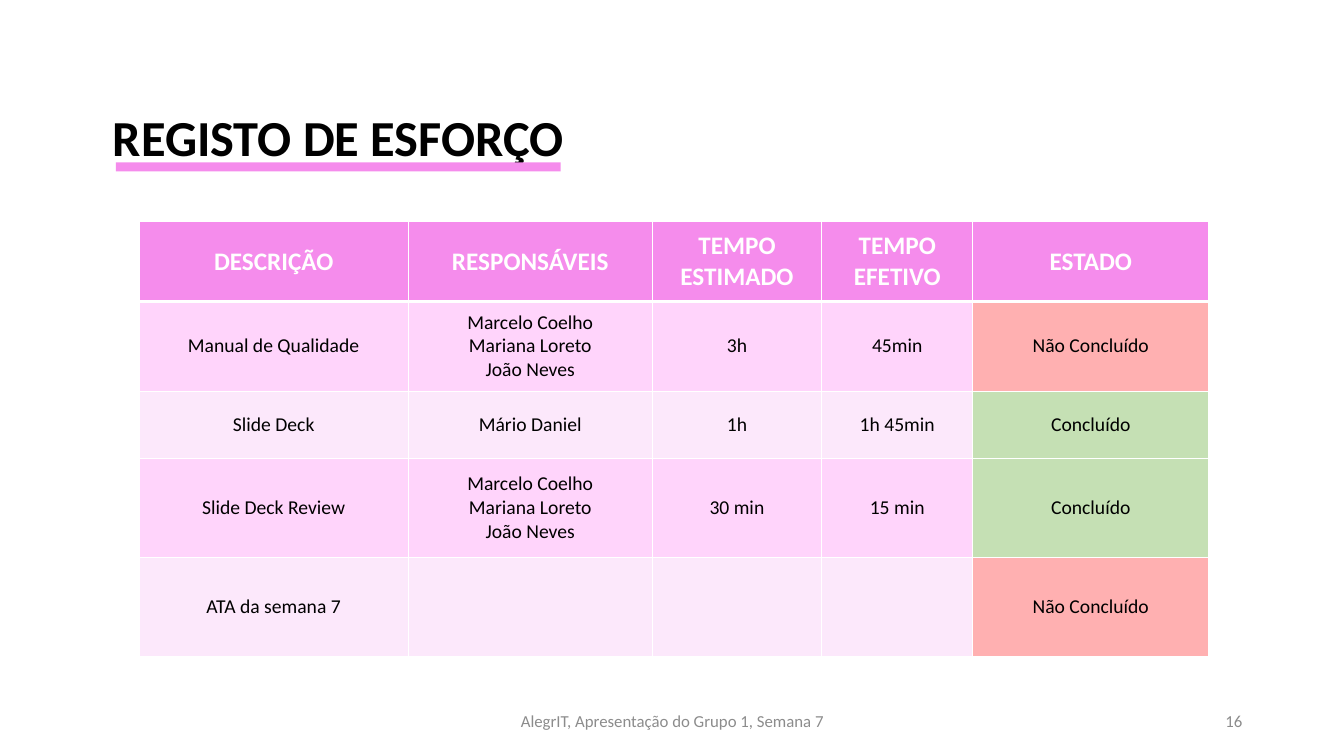
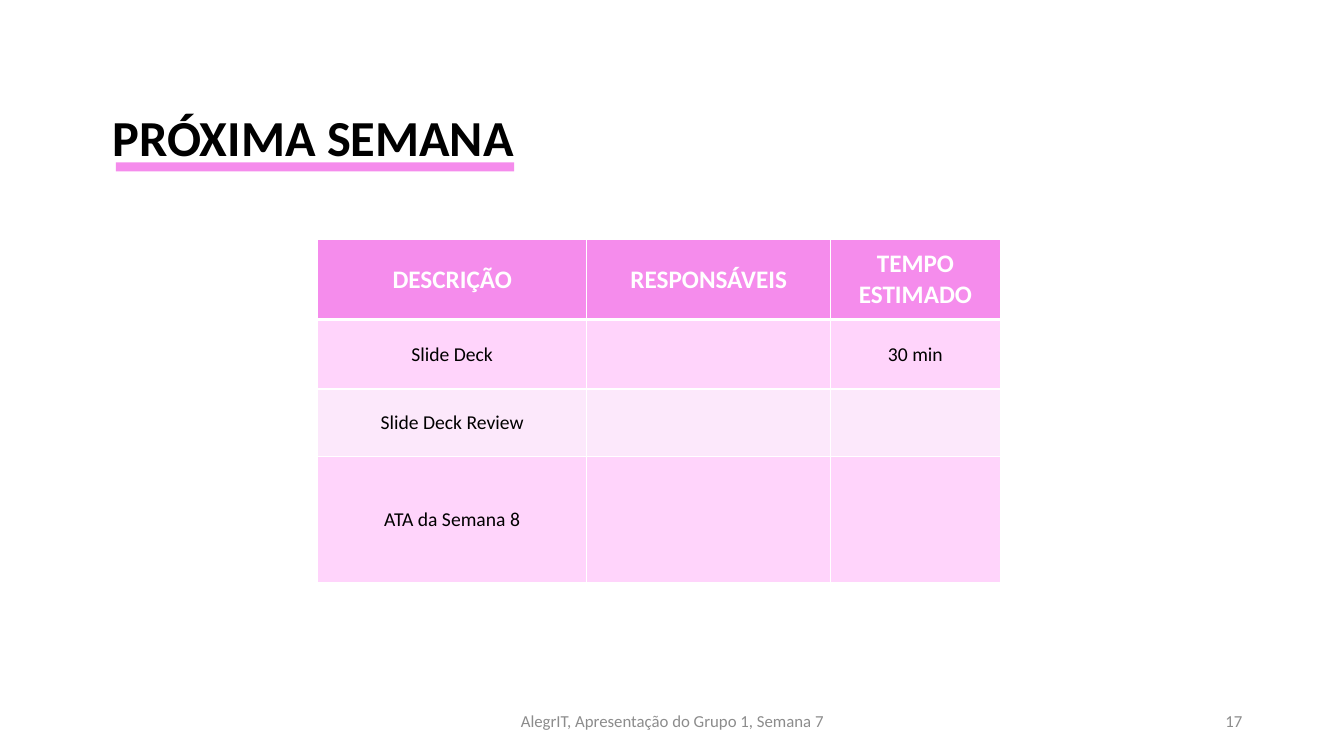
from dataclasses import dataclass

from lxml.etree import SubElement
from pptx import Presentation
from pptx.dml.color import RGBColor
from pptx.enum.shapes import MSO_SHAPE as Form
from pptx.enum.text import MSO_ANCHOR as Anchor, MSO_AUTO_SIZE as Fit, PP_ALIGN as Align
from pptx.oxml.ns import qn
from pptx.util import Inches, Pt

PINK = RGBColor(0xF5, 0x8C, 0xEC)
ROSE = RGBColor(0xFF, 0xD4, 0xFB)
PALE = RGBColor(0xFC, 0xE8, 0xFB)
RED = RGBColor(0xFF, 0xB0, 0xB1)
GREEN = RGBColor(0xC5, 0xE0, 0xB4)
WHITE = RGBColor(0xFF, 0xFF, 0xFF)
BLACK = RGBColor(0, 0, 0)
GREY = RGBColor(0x8C, 0x8C, 0x8C)

FONT = "Calibri"
FOOTER = "AlegrIT, Apresentação do Grupo 1, Semana 7"
TEAM = "Marcelo Coelho\nMariana Loreto\nJoão Neves"
HEADS = ["DESCRIÇÃO", "RESPONSÁVEIS", "TEMPO ESTIMADO", "TEMPO EFETIVO", "ESTADO"]
WIDTHS = [2.67, 2.42, 1.68, 1.5, 2.34]
STATES = {"Concluído": GREEN, "Não Concluído": RED}


@dataclass
class Page:
    number: int
    title: str
    bar: float  # width of the line under the title
    left: float
    top: float
    heights: list[float]
    rows: list[list[str]]


PAGES = [
    Page(16, "REGISTO DE ESFORÇO", 4.41, 1.38, 2.2, [0.79, 0.88, 0.67, 0.98, 0.98], [
        ["Manual de Qualidade", TEAM, "3h", "45min", "Não Concluído"],
        ["Slide Deck", "Mário Daniel", "1h", "1h 45min", "Concluído"],
        ["Slide Deck Review", TEAM, "30 min", "15 min", "Concluído"],
        ["ATA da semana 7", "", "", "", "Não Concluído"],
    ]),
    Page(17, "PRÓXIMA SEMANA", 3.95, 3.15, 2.38, [0.79, 0.69, 0.67, 1.25], [
        ["Slide Deck", "", "30 min"],
        ["Slide Deck Review", "", ""],
        ["ATA da Semana 8", "", ""],
    ]),
]


def write(frame, text: str, size: int = 14, color: RGBColor = BLACK,
          bold: bool = False, align: Align = Align.CENTER) -> None:
    """Fill a text frame, one paragraph a line."""
    frame.text = text
    for para in frame.paragraphs:
        para.alignment = align
        font = para.font
        font.name, font.size, font.bold = FONT, Pt(size), bold
        font.color.rgb = color


def edge(cell, side: str, width: float) -> None:
    """Draw one white border of a cell."""
    line = SubElement(cell._tc.get_or_add_tcPr(), qn(f"a:ln{side}"), w=str(Pt(width)))
    fill = SubElement(line, qn("a:solidFill"))
    SubElement(fill, qn("a:srgbClr"), val=str(WHITE))


def add_grid(slide, page: Page) -> None:
    """Draw the table: pink head, banded rows, coloured states."""
    count = len(page.rows[0])
    rows = [HEADS[:count], *page.rows]
    widths = WIDTHS[:count]
    table = slide.shapes.add_table(
        len(rows), count, Inches(page.left), Inches(page.top),
        Inches(sum(widths)), Inches(sum(page.heights))).table
    for col, width in zip(table.columns, widths):
        col.width = Inches(width)
    for r, (row, height) in enumerate(zip(rows, page.heights)):
        table.rows[r].height = Inches(height)
        band = PINK if r == 0 else ROSE if r % 2 else PALE
        for c, text in enumerate(row):
            cell = table.cell(r, c)
            cell.vertical_anchor = Anchor.MIDDLE
            cell.margin_left = cell.margin_right = Inches(0.18)
            cell.margin_top = cell.margin_bottom = Inches(0.09)
            # The rule under the head is thicker than the rest
            for side, width in (("L", 1), ("R", 1), ("T", 3 if r == 1 else 1),
                                ("B", 3 if r == 0 else 1)):
                edge(cell, side, width)
            cell.fill.solid()
            cell.fill.fore_color.rgb = STATES.get(text, band)
            if r == 0:
                write(cell.text_frame, text, size=18, color=WHITE, bold=True)
            else:
                write(cell.text_frame, text)


def add_title(slide, page: Page) -> None:
    """Place the title and the line under it."""
    title = slide.shapes.title
    title.left, title.top = Inches(1.02), Inches(1)
    title.width, title.height = Inches(7.25), Inches(0.71)
    frame = title.text_frame
    frame.auto_size = Fit.NONE
    frame.vertical_anchor = Anchor.TOP
    write(frame, page.title, size=36, bold=True, align=Align.LEFT)
    bar = slide.shapes.add_shape(
        Form.RECTANGLE, Inches(1.15), Inches(1.61), Inches(page.bar), Inches(0.09))
    bar.shadow.inherit = False
    bar.fill.solid()
    bar.fill.fore_color.rgb = PINK
    bar.line.fill.background()


def add_note(slide, text: str, left: float, width: float, align: Align) -> None:
    """Add one grey text at the foot of the slide."""
    box = slide.shapes.add_textbox(Inches(left), Inches(6.95), Inches(width), Inches(0.4))
    frame = box.text_frame
    frame.word_wrap = True
    frame.vertical_anchor = Anchor.MIDDLE
    write(frame, text, size=12, color=GREY, align=align)


def main() -> None:
    deck = Presentation()
    deck.slide_width, deck.slide_height = Inches(13.33), Inches(7.5)
    for page in PAGES:
        slide = deck.slides.add_slide(deck.slide_layouts.get_by_name("Title Only"))
        add_title(slide, page)
        add_grid(slide, page)
        add_note(slide, str(page.number), 9.42, 3, Align.RIGHT)
        add_note(slide, FOOTER, 4.42, 4.5, Align.CENTER)
    deck.save("out.pptx")


if __name__ == "__main__":
    main()
